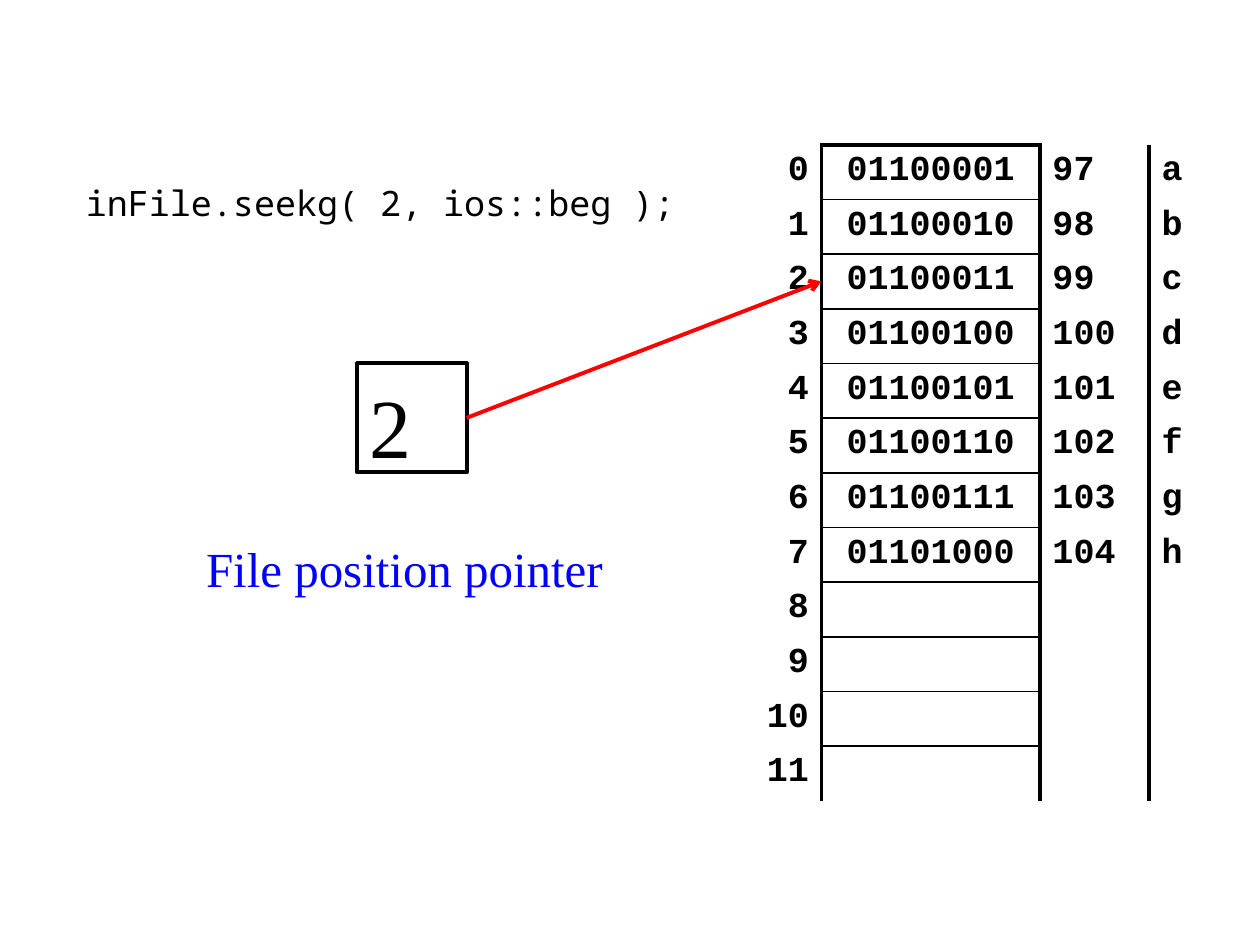
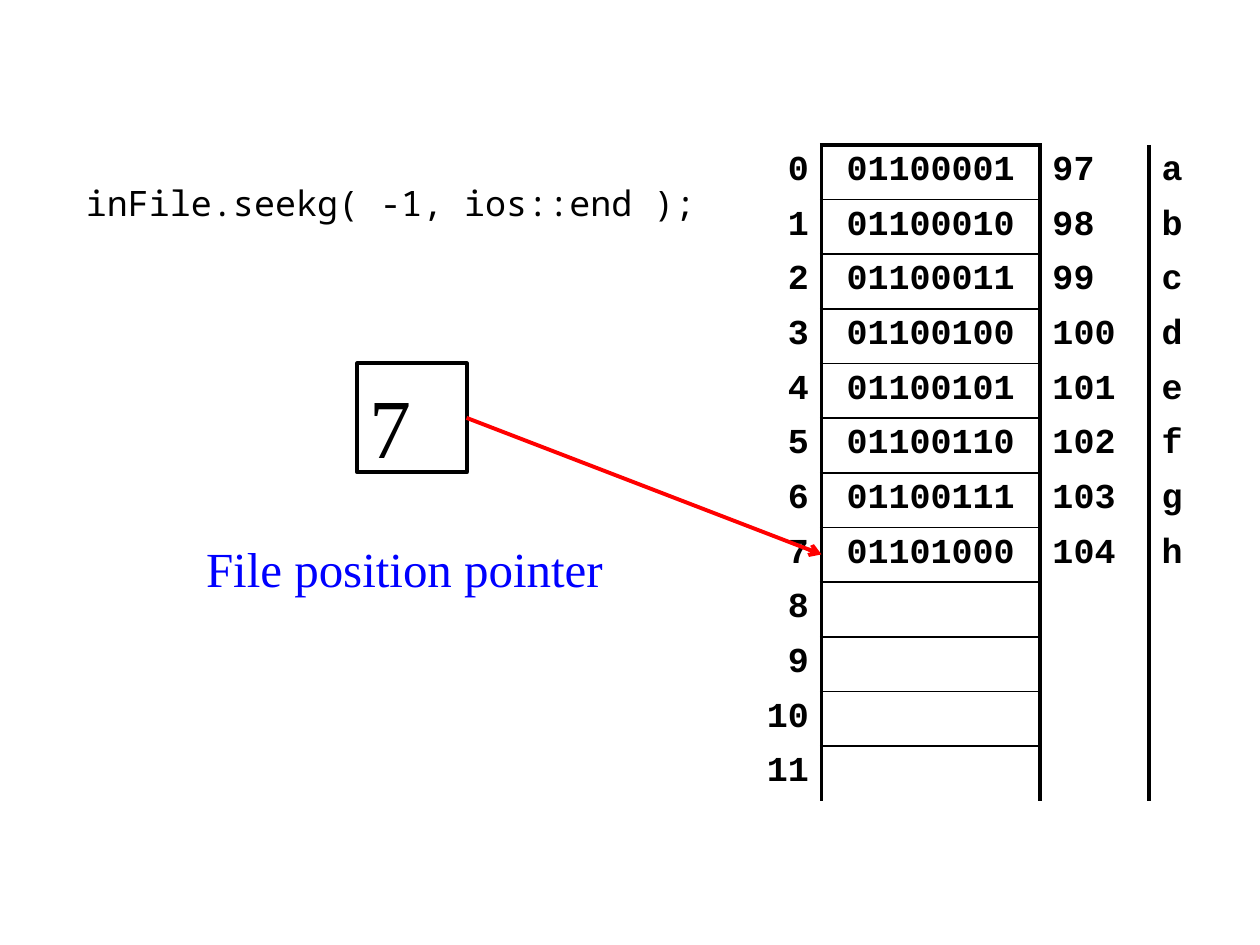
"""Build two slides showing how seekg moves a file position pointer over a table of bytes."""
from dataclasses import dataclass

from pptx import Presentation
from pptx.dml.color import RGBColor
from pptx.enum.shapes import MSO_CONNECTOR, MSO_SHAPE
from pptx.enum.text import MSO_ANCHOR, PP_ALIGN
from pptx.oxml.ns import qn
from pptx.util import Inches, Pt
from lxml.etree import SubElement

SEEKS = [
    ("inFile.seekg( 2, ios::beg );", 2),
    ("inFile.seekg( -1, ios::end );", 7),
]
CAPTION = "File position pointer"
LETTERS = "abcdefgh"
ROW_COUNT = 12


@dataclass(frozen=True)
class Theme:
    ink: str = "000000"
    caption: str = "0000FF"
    arrow: str = "FF0000"
    code_font: str = "Noto Sans Mono"
    byte_font: str = "Courier New"
    text_font: str = "Times New Roman"
    code_size: int = 20
    caption_size: int = 28
    pointer_size: int = 48
    heavy: float = 2.25
    thin: float = 1


THEME = Theme()
UNIT = 5.2 / ROW_COUNT
ORIGIN_X, ORIGIN_Y = 5.87, 1.15
COLUMN_UNITS = [1.5, 4, 2, 1]
ALIGNMENTS = [PP_ALIGN.RIGHT, PP_ALIGN.CENTER, PP_ALIGN.LEFT, PP_ALIGN.LEFT]
CODE_AREA = (-12.2, 0.55, 12, 1.08)
CAPTION_AREA = (-10, 7.1, 8, 1.45)
POINTER_AREA = (-7, 4, 2, 2)
NO_GRID_STYLE = "{2D5ABB26-0587-4C30-8999-92F81FD0307C}"


def grid_x(column):
    return Inches(ORIGIN_X + column * UNIT)


def grid_y(row):
    return Inches(ORIGIN_Y + row * UNIT)


def place(area):
    column, row, width, height = area
    return grid_x(column), grid_y(row), Inches(width * UNIT), Inches(height * UNIT)


def write(frame, text, font, size, color=THEME.ink, bold=False, align=PP_ALIGN.LEFT):
    paragraph = frame.paragraphs[0]
    paragraph.text = text
    paragraph.alignment = align
    paragraph.font.name = font
    paragraph.font.size = Pt(size)
    paragraph.font.bold = bold
    paragraph.font.color.rgb = RGBColor.from_string(color)


def add_text(slide, area, text, font, size, color=THEME.ink):
    frame = slide.shapes.add_textbox(*place(area)).text_frame
    frame.word_wrap = True
    write(frame, text, font, size, color)


def set_borders(cell, widths):
    """Draw the given sides in the order the schema asks for."""
    properties = cell._tc.get_or_add_tcPr()
    for side in "LRTB":
        if side in widths:
            line = SubElement(properties, qn(f"a:ln{side}"), w=str(Pt(widths[side])))
            fill = SubElement(line, qn("a:solidFill"))
            SubElement(fill, qn("a:srgbClr"), val=THEME.ink)


def borders_for(row, column):
    if column == 0:
        return {"R": THEME.heavy}
    if column == 2:
        return {"L": THEME.heavy}
    if column == 3:
        return {}
    sides = {"L": THEME.heavy, "R": THEME.heavy, "T": THEME.thin if row else THEME.heavy}
    if row < ROW_COUNT - 1:
        sides["B"] = THEME.thin
    return sides


def byte_row(index):
    if index >= len(LETTERS):
        return [str(index), "", "", ""]
    letter = LETTERS[index]
    return [str(index), f"{ord(letter):08b}", str(ord(letter)), letter]


def add_byte_table(slide):
    area = (0, 0, sum(COLUMN_UNITS), ROW_COUNT)
    table = slide.shapes.add_table(ROW_COUNT, len(COLUMN_UNITS), *place(area)).table
    table.first_row = table.horz_banding = False
    table._tbl.tblPr.find(qn("a:tableStyleId")).text = NO_GRID_STYLE
    for column, units in zip(table.columns, COLUMN_UNITS):
        column.width = Inches(units * UNIT)
    for row in range(ROW_COUNT):
        table.rows[row].height = Inches(UNIT)
        for column, text in enumerate(byte_row(row)):
            cell = table.cell(row, column)
            set_borders(cell, borders_for(row, column))
            cell.fill.background()
            write(cell.text_frame, text, THEME.byte_font, THEME.code_size,
                  bold=True, align=ALIGNMENTS[column])


def add_pointer(slide, position):
    box = slide.shapes.add_shape(MSO_SHAPE.RECTANGLE, *place(POINTER_AREA))
    box.shadow.inherit = False
    box.fill.background()
    box.line.color.rgb = RGBColor.from_string(THEME.ink)
    box.line.width = Pt(THEME.heavy)
    frame = box.text_frame
    frame.vertical_anchor = MSO_ANCHOR.MIDDLE
    frame.margin_top = Inches(0.16)
    write(frame, str(position), THEME.text_font, THEME.pointer_size)

    target = grid_x(COLUMN_UNITS[0]), grid_y(position + 0.5)
    arrow = slide.shapes.add_connector(
        MSO_CONNECTOR.STRAIGHT, box.left + box.width, box.top + box.height // 2, *target)
    arrow.begin_connect(box, 3)
    arrow.line.color.rgb = RGBColor.from_string(THEME.arrow)
    arrow.line.width = Pt(THEME.heavy)
    SubElement(arrow.line._get_or_add_ln(), qn("a:tailEnd"), type="arrow")
    SubElement(arrow._element.spPr, qn("a:effectLst"))


def main():
    presentation = Presentation()
    presentation.slide_width, presentation.slide_height = Inches(10), Inches(7.5)
    for code, position in SEEKS:
        slide = presentation.slides.add_slide(presentation.slide_layouts[6])
        add_text(slide, CODE_AREA, code, THEME.code_font, THEME.code_size)
        add_text(slide, CAPTION_AREA, CAPTION, THEME.text_font, THEME.caption_size, THEME.caption)
        add_byte_table(slide)
        add_pointer(slide, position)
    presentation.save("out.pptx")


if __name__ == "__main__":
    main()
